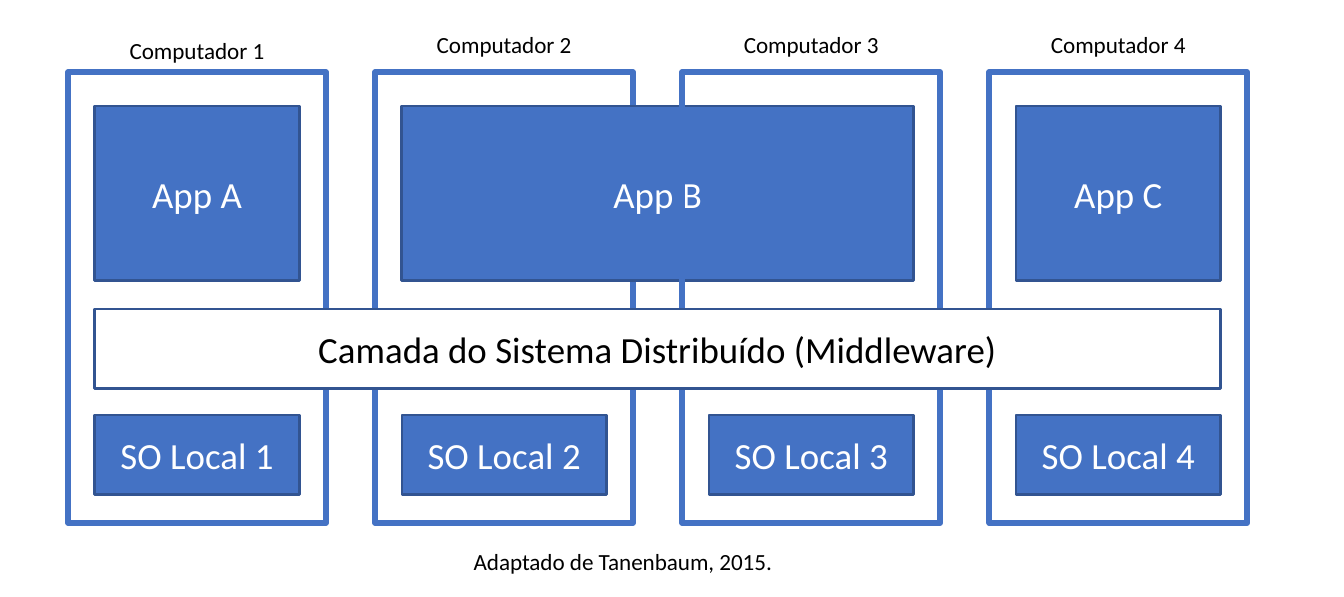
"""Build a slide showing middleware spanning four networked computers."""
from pptx import Presentation
from pptx.dml.color import RGBColor
from pptx.enum.shapes import MSO_SHAPE
from pptx.enum.text import MSO_ANCHOR, MSO_AUTO_SIZE, PP_ALIGN
from pptx.util import Inches, Pt

BLUE = RGBColor(0x44, 0x72, 0xC4)
DARK_BLUE = RGBColor(0x32, 0x54, 0x91)
WHITE = RGBColor(0xFF, 0xFF, 0xFF)
BLACK = RGBColor(0x00, 0x00, 0x00)
FONT = "Calibri"

FIRST_COLUMN, COLUMN_PITCH = 0.36, 1.62
FRAME_WIDTH, FRAME_HEIGHT, FRAME_TOP = 1.36, 2.38, 0.38
BLOCK_INSET, BLOCK_WIDTH = 0.14, 1.08
APP_TOP, APP_HEIGHT = 0.56, 0.92
MIDDLEWARE_TOP, SYSTEM_TOP, LAYER_HEIGHT = 1.63, 2.19, 0.42
LABEL_HEIGHT = 0.25

COMPUTER_COUNT = 4
LABEL_TOPS = (0.14, 0.11, 0.11, 0.11)
APPS = {0: ("App A", 1), 1: ("App B", 2), 3: ("App C", 1)}


def column_left(column):
    """Return the left edge of a computer's column in inches."""
    return FIRST_COLUMN + column * COLUMN_PITCH


def write_text(text_frame, text, size, color, alignment):
    """Write one formatted run in the first paragraph."""
    paragraph = text_frame.paragraphs[0]
    paragraph.alignment = alignment
    run = paragraph.add_run()
    run.text = text
    run.font.name = FONT
    run.font.size = Pt(size)
    run.font.color.rgb = color


def add_rectangle(slide, left, top, width, height, line_color, line_width):
    """Add an unfilled, outlined rectangle."""
    shape = slide.shapes.add_shape(
        MSO_SHAPE.RECTANGLE, Inches(left), Inches(top), Inches(width), Inches(height))
    shape.shadow.inherit = False
    shape.fill.background()
    shape.line.color.rgb = line_color
    shape.line.width = Pt(line_width)
    return shape


def add_frame(slide, column):
    """Add the outline of one computer."""
    add_rectangle(slide, column_left(column), FRAME_TOP,
                  FRAME_WIDTH, FRAME_HEIGHT, BLUE, 2.25)


def add_block(slide, text, column, span, top, height, fill=BLUE, text_color=WHITE):
    """Add a labelled block that spans one or more computers."""
    width = BLOCK_WIDTH + (span - 1) * COLUMN_PITCH
    shape = add_rectangle(slide, column_left(column) + BLOCK_INSET, top,
                          width, height, DARK_BLUE, 1)
    shape.fill.solid()
    shape.fill.fore_color.rgb = fill
    shape.text_frame.word_wrap = True
    shape.text_frame.vertical_anchor = MSO_ANCHOR.MIDDLE
    write_text(shape.text_frame, text, 14, text_color, PP_ALIGN.CENTER)


def add_label(slide, text, left, top, width, alignment=PP_ALIGN.CENTER):
    """Add a small black text label."""
    text_box = slide.shapes.add_textbox(
        Inches(left), Inches(top), Inches(width), Inches(LABEL_HEIGHT))
    text_box.text_frame.word_wrap = True
    text_box.text_frame.auto_size = MSO_AUTO_SIZE.SHAPE_TO_FIT_TEXT
    write_text(text_box.text_frame, text, 8.8, BLACK, alignment)


def main():
    """Assemble and save the slide."""
    presentation = Presentation()
    presentation.slide_width = Inches(7.09)
    presentation.slide_height = Inches(3.15)
    slide = presentation.slides.add_slide(presentation.slide_layouts[6])

    for column in range(COMPUTER_COUNT):
        add_frame(slide, column)
        if column in APPS:
            name, span = APPS[column]
            add_block(slide, name, column, span, APP_TOP, APP_HEIGHT)
        add_block(slide, f"SO Local {column + 1}", column, 1, SYSTEM_TOP, LAYER_HEIGHT)

    add_block(slide, "Camada do Sistema Distribuído (Middleware)", 0, COMPUTER_COUNT,
              MIDDLEWARE_TOP, LAYER_HEIGHT, WHITE, BLACK)

    for column, top in enumerate(LABEL_TOPS):
        add_label(slide, f"Computador {column + 1}", column_left(column), top, FRAME_WIDTH)
    add_label(slide, "Adaptado de Tanenbaum, 2015.", 2.4, 2.84, 1.85, PP_ALIGN.LEFT)

    presentation.save("out.pptx")


if __name__ == "__main__":
    main()
